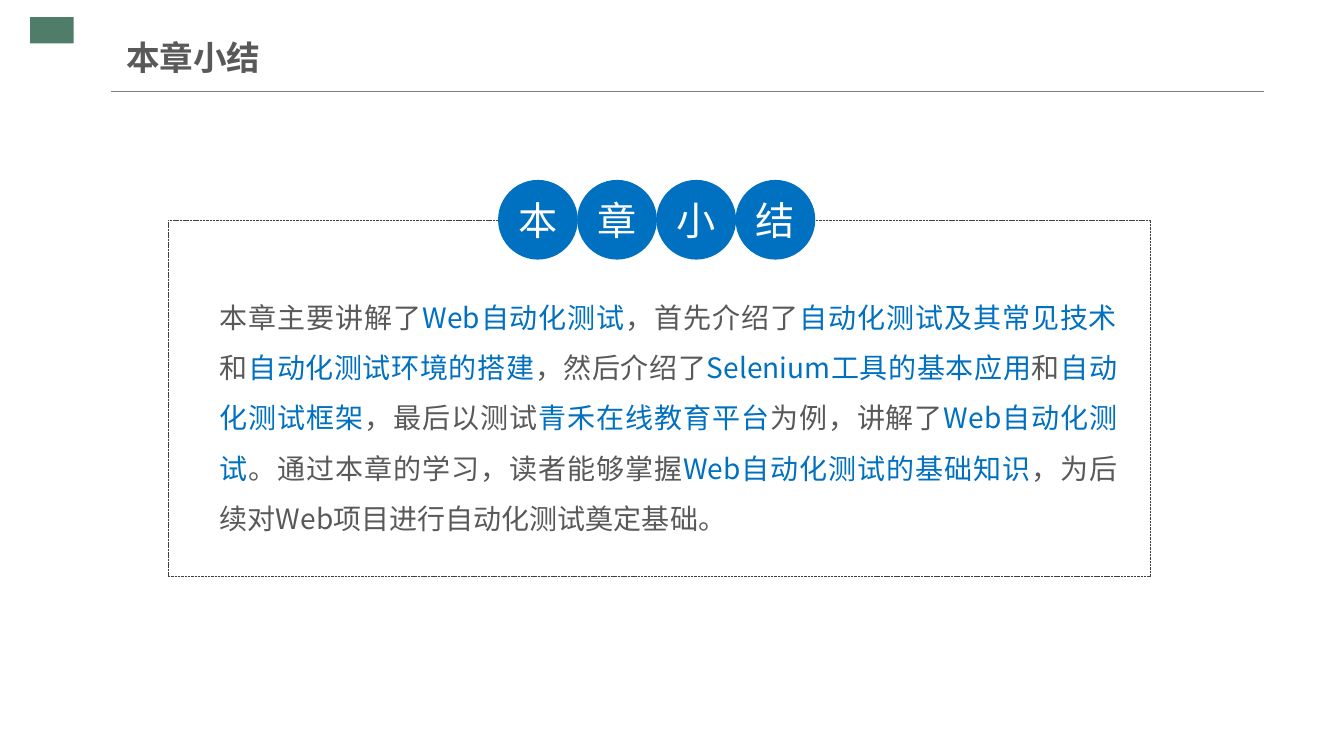
from lxml import etree
from pptx import Presentation
from pptx import util as u
from pptx.dml.color import RGBColor
from pptx.enum import dml, shapes, text
from pptx.oxml.ns import qn

THEME = {
    "font": "Noto Sans CJK SC",
    "green": RGBColor.from_string("4F7D6A"),
    "rule": RGBColor.from_string("808080"),
    "frame": RGBColor.from_string("404040"),
    "gray": RGBColor.from_string("595959"),
    "blue": RGBColor.from_string("0070C0"),
    "white": RGBColor.from_string("FFFFFF"),
    "title": u.Pt(24),
    "body": u.Pt(20),
    "badge": u.Pt(28),
}

deck = Presentation()
deck.slide_width, deck.slide_height = u.Inches(13.33), u.Inches(7.5)
page = deck.slides.add_slide(deck.slide_layouts[6])
COL, ROW = deck.slide_width / 100, deck.slide_height / 100


def place(left, top, width, height):
    return [round(v) for v in (left * COL, top * ROW, width * COL, height * ROW)]


def write(box, spans, size, bold=False, align=text.PP_ALIGN.LEFT,
          anchor=text.MSO_ANCHOR.MIDDLE, spacing=1.0, inset=0, wrap=True):
    frame = box.text_frame
    frame.word_wrap = wrap
    frame.vertical_anchor = anchor
    frame.margin_left = frame.margin_right = 0
    frame.margin_top = frame.margin_bottom = inset
    para = frame.paragraphs[0]
    para.alignment = align
    para.line_spacing = spacing
    for words, color in spans:
        span = para.add_run()
        span.text = words
        span.font.size = size
        span.font.bold = bold
        span.font.name = THEME["font"]
        span.font.color.rgb = color
        east = etree.SubElement(span.font._element, qn("a:ea"))
        east.set("typeface", THEME["font"])


marker = page.shapes.add_shape(
    shapes.MSO_SHAPE.RECTANGLE, *place(2.25, 2.27, 3.23, 3.47))
marker.shadow.inherit = False
marker.fill.solid()
marker.fill.fore_color.rgb = THEME["green"]
marker.line.fill.background()

start_x, rule_y, end_x, _ = place(8.25, 12.13, 94.07, 0)
rule = page.shapes.add_connector(
    shapes.MSO_CONNECTOR.STRAIGHT, start_x, rule_y, end_x, rule_y)
rule.line.color.rgb = THEME["rule"]
rule.line.width = u.Pt(0.75)
etree.SubElement(rule._element.spPr, qn("a:effectLst"))

title = page.shapes.add_textbox(*place(9.38, 3.87, 46.51, 7.33))
write(title, [("本章小结", THEME["gray"])], THEME["title"], bold=True,
      inset=u.Inches(0.07))

panel = page.shapes.add_shape(
    shapes.MSO_SHAPE.ROUNDED_RECTANGLE, *place(12.53, 29.07, 73.07, 47.2))
panel.adjustments[0] = 0
panel.shadow.inherit = False
panel.fill.background()
panel.line.color.rgb = THEME["frame"]
panel.line.width = u.Pt(0.25)
panel.line.dash_style = dml.MSO_LINE.SQUARE_DOT

SUMMARY = [
    "本章主要讲解了", "Web自动化测试",
    "，首先介绍了", "自动化测试及其常见技术",
    "和", "自动化测试环境的搭建",
    "，然后介绍了", "Selenium工具的基本应用",
    "和", "自动化测试框架",
    "，最后以测试", "青禾在线教育平台",
    "为例，讲解了", "Web自动化测试",
    "。通过本章的学习，读者能够掌握", "Web自动化测试的基础知识",
    "，为后续对Web项目进行自动化测试奠定基础。",
]
summary = page.shapes.add_textbox(*place(16.35, 37.47, 66.77, 33.6))
write(summary,
      [(words, THEME["blue" if i % 2 else "gray"]) for i, words in enumerate(SUMMARY)],
      THEME["body"], align=text.PP_ALIGN.JUSTIFY, anchor=text.MSO_ANCHOR.TOP,
      spacing=1.5)

badge_left, _, diameter, _ = place(37.06, 0, 5.93, 0)
pitch = round(5.89 * COL)
for i, letter in enumerate("本章小结"):
    badge = page.shapes.add_shape(
        shapes.MSO_SHAPE.OVAL, badge_left + i * pitch, panel.top - diameter // 2,
        diameter, diameter)
    badge.shadow.inherit = False
    badge.fill.solid()
    badge.fill.fore_color.rgb = THEME["blue"]
    badge.line.fill.background()
    write(badge, [(letter, THEME["white"])], THEME["badge"],
          align=text.PP_ALIGN.CENTER, wrap=False)

deck.save("out.pptx")
